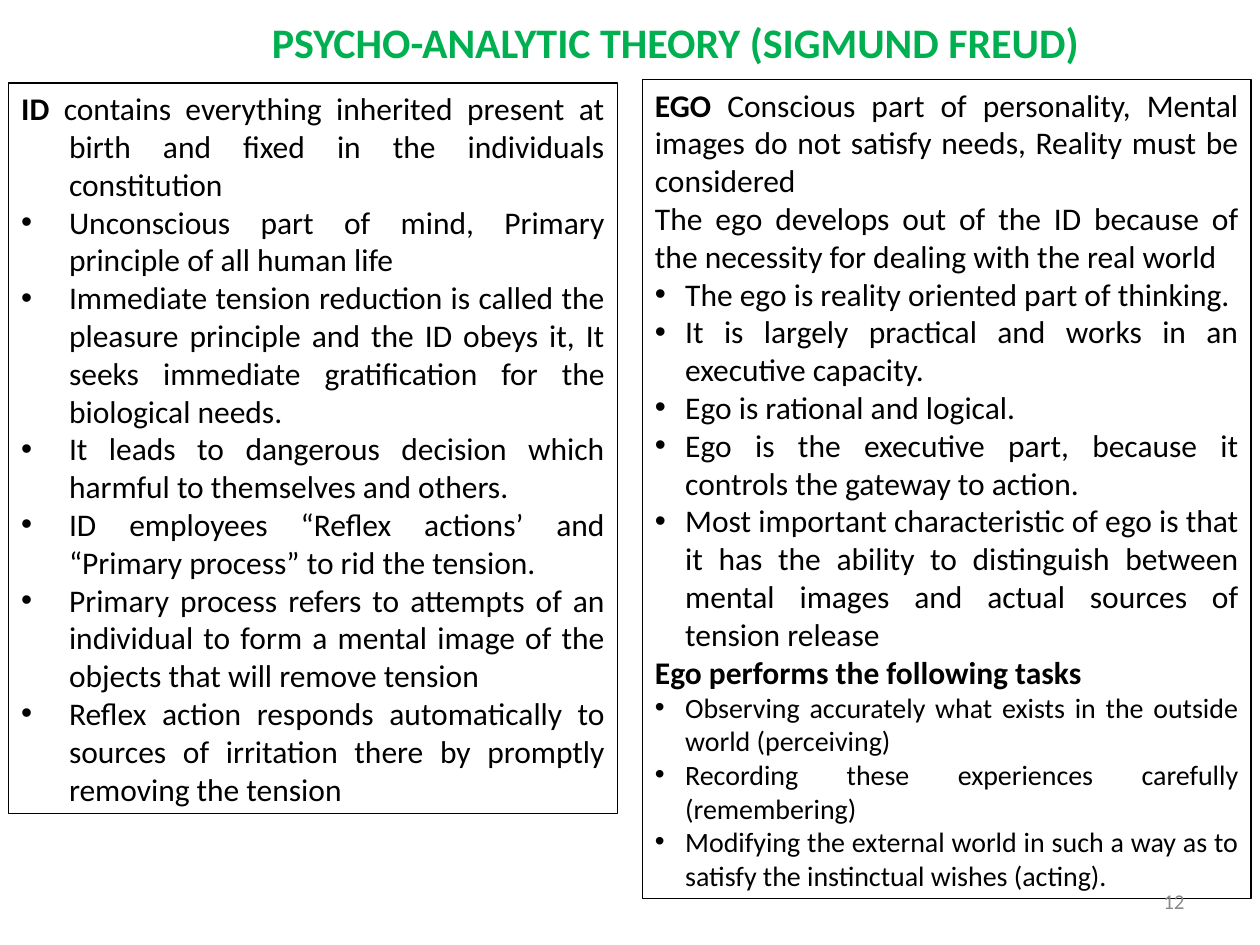
import pptx
import pptx.dml.color
import pptx.enum.shapes
import pptx.enum.text
import pptx.oxml.ns
import pptx.util
from lxml import etree
from pptx.util import Inches

BLACK = pptx.dml.color.RGBColor(0x00, 0x00, 0x00)
GREEN = pptx.dml.color.RGBColor(0x00, 0xB0, 0x50)
GRAY = pptx.dml.color.RGBColor(0x89, 0x89, 0x89)
ALIGN = pptx.enum.text.PP_ALIGN
ANCHOR = pptx.enum.text.MSO_ANCHOR


def style(paragraph, size, color, bold=False, alignment=ALIGN.JUSTIFY):
    paragraph.alignment = alignment
    paragraph.font.name = "Calibri"
    paragraph.font.size = pptx.util.Pt(size)
    paragraph.font.color.rgb = color
    paragraph.font.bold = bold


def indent(paragraph, width, bullet):
    properties = paragraph._p.get_or_add_pPr()
    properties.set("marL", str(width))
    properties.set("indent", str(-width))
    if bullet:
        font = etree.SubElement(properties, pptx.oxml.ns.qn("a:buFont"))
        font.set("typeface", "Arial")
        character = etree.SubElement(properties, pptx.oxml.ns.qn("a:buChar"))
        character.set("char", "•")


presentation = pptx.Presentation()
presentation.slide_width = Inches(10)
presentation.slide_height = Inches(7.5)
slide = presentation.slides.add_slide(presentation.slide_layouts[6])

id_paragraphs = [
    ("lead", "ID", " contains everything inherited present at birth and fixed in the individuals constitution"),
    ("bullet", "", "Unconscious part of mind, Primary principle of all human life"),
    ("bullet", "", "Immediate tension reduction is called the pleasure principle and the ID obeys it, "
     "It seeks immediate gratification for the biological needs."),
    ("bullet", "", "It leads to dangerous decision which harmful to themselves and others."),
    ("bullet", "", "ID employees “Reflex actions’ and “Primary process” to rid the tension."),
    ("bullet", "", "Primary process refers to attempts of an individual to form a mental image "
     "of the objects that will remove tension"),
    ("bullet", "", "Reflex action responds automatically to sources of irritation there by "
     "promptly removing the tension"),
]
ego_paragraphs = [
    ("plain", "EGO", " Conscious part of personality, Mental images do not satisfy needs, "
     "Reality must be considered"),
    ("plain", "", "The ego develops out of the ID because of the necessity for dealing with the real world"),
    ("bullet", "", "The ego is reality oriented part of thinking."),
    ("bullet", "", "It is largely practical and works in an executive capacity."),
    ("bullet", "", "Ego is rational and logical."),
    ("bullet", "", "Ego is the executive part, because it controls the gateway to action."),
    ("bullet", "", "Most important characteristic of ego is that it has the ability to distinguish "
     "between mental images and actual sources of tension release"),
    ("plain", "Ego performs the following tasks", ""),
    ("task", "", "Observing accurately what exists in the outside world (perceiving)"),
    ("task", "", "Recording these experiences carefully (remembering)"),
    ("task", "", "Modifying the external world in such a way as to satisfy the instinctual wishes (acting)."),
]
panels = [
    (0.07, 0.66, 5.8, 0.38, id_paragraphs),
    (5.1, 0.63, 6.5, 0.24, ego_paragraphs),
]

for left, top, height, hanging, contents in panels:
    panel = slide.shapes.add_shape(
        pptx.enum.shapes.MSO_SHAPE.RECTANGLE,
        Inches(left), Inches(top), Inches(4.83), Inches(height))
    panel.shadow.inherit = False
    panel.fill.background()
    panel.line.color.rgb = BLACK
    panel.line.width = pptx.util.Pt(0.75)
    frame = panel.text_frame
    frame.word_wrap = True
    frame.vertical_anchor = ANCHOR.TOP
    for index, (kind, heading, body) in enumerate(contents):
        paragraph = frame.paragraphs[0] if index == 0 else frame.add_paragraph()
        style(paragraph, 16 if kind == "task" else 18, BLACK)
        if kind != "plain":
            indent(paragraph, Inches(hanging), kind != "lead")
        for text, bold in ((heading, True), (body, False)):
            if text:
                run = paragraph.add_run()
                run.text = text
                run.font.bold = bold

labels = [
    ("PSYCHO-ANALYTIC THEORY (SIGMUND FREUD)", 2.06, 0.08, 6.67, 0.5,
     24, GREEN, True, ALIGN.JUSTIFY, ANCHOR.TOP, False),
    ("12", 7.17, 6.95, 2.33, 0.4, 12, GRAY, False, ALIGN.RIGHT, ANCHOR.MIDDLE, True),
]
for text, left, top, width, height, size, color, bold, alignment, anchor, wrap in labels:
    label = slide.shapes.add_textbox(Inches(left), Inches(top), Inches(width), Inches(height))
    label.text_frame.word_wrap = wrap
    label.text_frame.vertical_anchor = anchor
    label.text_frame.text = text
    style(label.text_frame.paragraphs[0], size, color, bold, alignment)

presentation.save("out.pptx")
